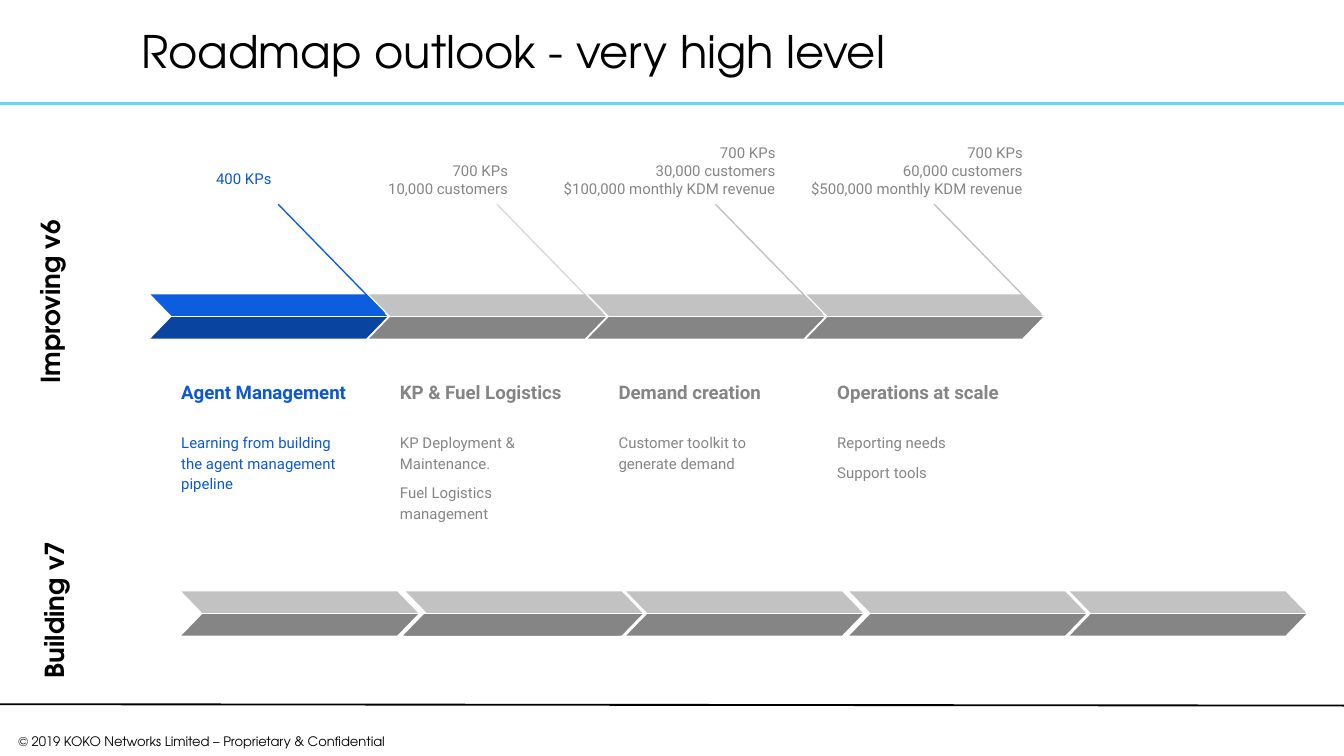
from dataclasses import dataclass

from lxml import etree
from pptx import Presentation
from pptx.dml.color import RGBColor
from pptx.enum import shapes, text
from pptx.oxml import ns
from pptx.util import Inches, Pt


@dataclass(frozen=True)
class Theme:
    heading_font: str = "TeX Gyre Adventor"
    body_font: str = "Roboto"
    black: str = "000000"
    sky: str = "65D9F8"
    blue: str = "0D5DDF"
    navy: str = "0944A1"
    blue_text: str = "0C58D3"
    silver: str = "C2C2C2"
    pale: str = "D9D9D9"
    gray: str = "858585"
    title_size: float = 24
    side_size: float = 14
    stage_size: float = 10
    body_size: float = 8
    footer_size: float = 7


THEME = Theme()


@dataclass(frozen=True)
class Box:
    left: float
    top: float
    width: float
    height: float

    def lengths(self) -> tuple:
        return tuple(Inches(v) for v in (self.left, self.top, self.width, self.height))


@dataclass(frozen=True)
class Style:
    size: float
    color: str
    font: str = THEME.body_font
    bold: bool = False
    align: text.PP_ALIGN = text.PP_ALIGN.LEFT
    anchor: text.MSO_ANCHOR = text.MSO_ANCHOR.TOP
    spacing: float = 1.0
    gap: float = 0
    inset_x: float = 0.1
    inset_y: float = 0.1


@dataclass(frozen=True)
class Stage:
    heading: str
    details: tuple[str, ...]
    callout: tuple[str, ...]
    callout_box: Box
    callout_spacing: float = 1.0
    upper: str = THEME.silver
    lower: str = THEME.gray
    leader: str = THEME.silver
    ink: str = THEME.gray


STAGES = (
    Stage("Agent Management", ("Learning from building the agent management pipeline",),
          ("400 KPs",), Box(1.44, 1.14, 0.68, 0.26), 1.15,
          THEME.blue, THEME.navy, THEME.blue, THEME.blue_text),
    Stage("KP & Fuel Logistics",
          ("KP Deployment & Maintenance.", "Fuel Logistics management"),
          ("700 KPs", "10,000 customers"), Box(2.43, 1.1, 1.45, 0.64),
          leader=THEME.pale),
    Stage("Demand creation", ("Customer toolkit to generate demand",),
          ("700 KPs", "30,000 customers", "$100,000 monthly KDM revenue"),
          Box(3.66, 0.97, 2.21, 0.64)),
    Stage("Operations at scale", ("Reporting needs", "Support tools"),
          ("700 KPs", "60,000 customers", "$500,000 monthly KDM revenue"),
          Box(5.5, 0.97, 2.21, 0.64)),
)
STAGE_LEFT, STAGE_PITCH, STAGE_TOP = 1.12, 1.627, 2.19
BUILD_LEFTS, BUILD_TOP = (1.35, 3.02, 4.66, 6.32, 7.96), 4.4
BAR_WIDTH, BAR_HEIGHT, BAR_STEP = 1.76, 0.16, 0.17


def write(shape, lines: tuple[str, ...], style: Style) -> None:
    frame = shape.text_frame
    frame.word_wrap = True
    frame.auto_size = text.MSO_AUTO_SIZE.NONE
    frame.vertical_anchor = style.anchor
    frame.margin_left = frame.margin_right = Inches(style.inset_x)
    frame.margin_top = frame.margin_bottom = Inches(style.inset_y)
    for index, line in enumerate(lines):
        para = frame.add_paragraph() if index else frame.paragraphs[0]
        para.text = line
        para.alignment = style.align
        para.line_spacing = style.spacing
        para.space_before = Pt(style.gap if index else 0)
        para.space_after = Pt(0)
        for span in para.runs:
            span.font.name = style.font
            span.font.size = Pt(style.size)
            span.font.bold = style.bold
            span.font.color.rgb = RGBColor.from_string(style.color)


def add_text(page, box: Box, lines: tuple[str, ...], style: Style, rotation: float = 0) -> None:
    shape = page.shapes.add_textbox(*box.lengths())
    shape.rotation = rotation
    write(shape, lines, style)


def add_line(page, start: tuple[float, float], end: tuple[float, float],
             color: str, width: float) -> None:
    ends = [Inches(v) for v in (*start, *end)]
    line = page.shapes.add_connector(shapes.MSO_CONNECTOR.STRAIGHT, *ends)
    line.line.color.rgb = RGBColor.from_string(color)
    line.line.width = Pt(width)
    etree.SubElement(line._element.spPr, ns.qn("a:effectLst"))


def add_bar(page, left: float, top: float, color: str, flipped: bool = False) -> None:
    box = Box(left, top, BAR_WIDTH, BAR_HEIGHT)
    bar = page.shapes.add_shape(shapes.MSO_SHAPE.PARALLELOGRAM, *box.lengths())
    bar.adjustments[0] = 0.97
    bar.shadow.inherit = False
    bar.fill.solid()
    bar.fill.fore_color.rgb = RGBColor.from_string(color)
    bar.line.fill.background()
    if flipped:
        bar._element.spPr.find(ns.qn("a:xfrm")).set("flipH", "1")


def add_chevron(page, left: float, top: float, upper: str, lower: str) -> None:
    """Stack two mirrored bars so that they point right."""
    add_bar(page, left, top, upper, flipped=True)
    add_bar(page, left, top + BAR_STEP, lower)


def add_stage(page, stage: Stage, left: float) -> None:
    add_line(page, (left + 0.95, 1.52), (left + 1.74, 2.33), stage.leader, 0.75)
    add_chevron(page, left, STAGE_TOP, stage.upper, stage.lower)
    add_text(page, Box(left + 0.13, 2.61, 1.45, 0.49), (stage.heading,),
             Style(THEME.stage_size, stage.ink, bold=True,
                   anchor=text.MSO_ANCHOR.BOTTOM, spacing=1.15))
    add_text(page, Box(left + 0.13, 3.11, 1.45, 0.81), stage.details,
             Style(THEME.body_size, stage.ink, spacing=1.14, gap=5))
    add_text(page, stage.callout_box, stage.callout,
             Style(THEME.body_size, stage.ink, align=text.PP_ALIGN.RIGHT,
                   spacing=stage.callout_spacing))


def add_frame(page) -> None:
    add_line(page, (0, 0.77), (10, 0.77), THEME.sky, 1.5)
    add_line(page, (0, 5.24), (10, 5.25), THEME.black, 1)
    add_text(page, Box(0, 5.42, 3, 0.21),
             ("© 2019 KOKO Networks Limited – Proprietary & Confidential",),
             Style(THEME.footer_size, THEME.black, THEME.heading_font,
                   align=text.PP_ALIGN.CENTER, inset_x=0.07, inset_y=0.04))
    title = page.shapes.title
    title.left, title.top, title.width, title.height = Box(0.98, 0.08, 8.64, 0.64).lengths()
    write(title, ("Roadmap outlook - very high level",),
          Style(THEME.title_size, THEME.black, THEME.heading_font,
                anchor=text.MSO_ANCHOR.MIDDLE, spacing=0.9, inset_x=0.07, inset_y=0.04))


def main() -> None:
    deck = Presentation()
    deck.slide_width, deck.slide_height = Inches(10), Inches(10 * 9 / 16)
    page = deck.slides.add_slide(deck.slide_layouts.get_by_name("Title Only"))
    add_frame(page)
    for index, stage in enumerate(STAGES):
        add_stage(page, stage, STAGE_LEFT + index * STAGE_PITCH)
    side = Style(THEME.side_size, THEME.black, THEME.heading_font, bold=True)
    add_text(page, Box(-0.52, 1.87, 1.76, 0.41), ("Improving v6",), side, 270)
    add_text(page, Box(-0.49, 4.06, 1.76, 0.41), ("Building v7",), side, 270)
    add_bar(page, 3, BUILD_TOP + BAR_STEP, THEME.gray)
    for left in BUILD_LEFTS:
        add_chevron(page, left, BUILD_TOP, THEME.silver, THEME.gray)
    deck.save("out.pptx")


if __name__ == "__main__":
    main()
